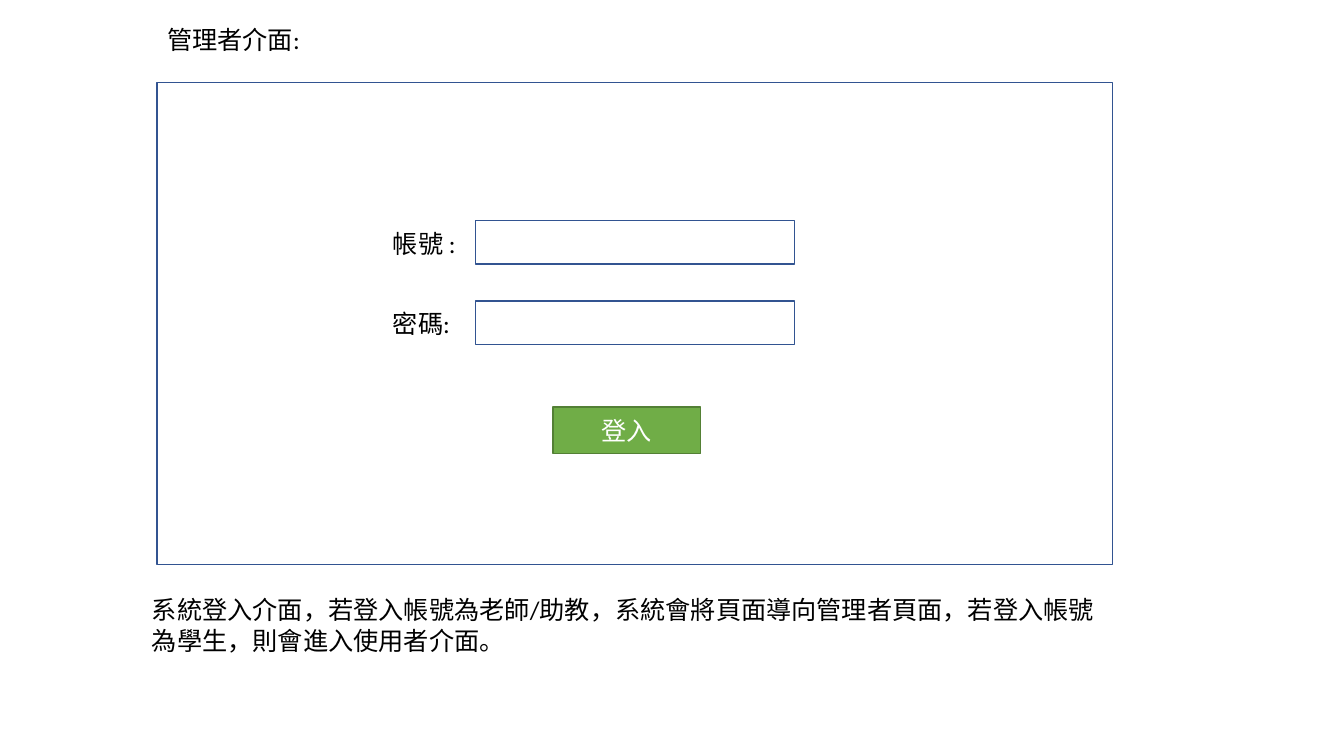
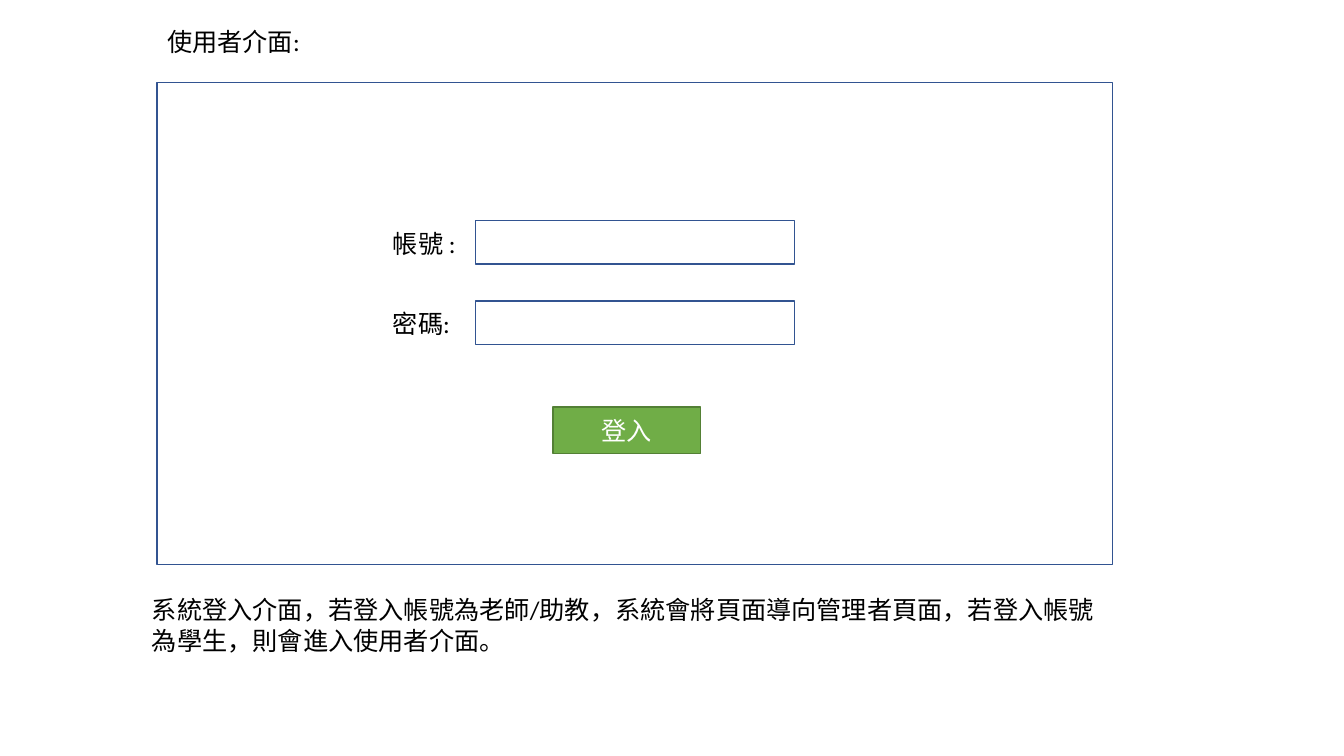
import pptx
import pptx.dml.color
import pptx.enum.shapes
import pptx.enum.text
import pptx.util

Cm = pptx.util.Cm
Pt = pptx.util.Pt
RGBColor = pptx.dml.color.RGBColor

WHITE = RGBColor(0xFF, 0xFF, 0xFF)
BLACK = RGBColor(0x00, 0x00, 0x00)
BLUE = RGBColor(0x32, 0x54, 0x91)
GREEN = RGBColor(0x70, 0xAD, 0x47)
DARK_GREEN = RGBColor(0x53, 0x80, 0x35)

FONT = "Calibri"
FONT_SIZE = Pt(18)
LINE_WIDTH = Pt(1)

PANEL = (Cm(3.96), Cm(2.08), Cm(24.08), Cm(12.14))
CAPTION = (Cm(3.58), Cm(14.86), Cm(24.46), Cm(1.8))
FIELD_LABELS = ("帳號 :", "密碼:")
CAPTION_TEXT = (
    "系統登入介面，若登入帳號為老師/助教，系統會將頁面導向管理者頁面，"
    "若登入帳號為學生，則會進入使用者介面。"
)
PAGES = (("管理者介面:", Cm(0.48)), ("使用者介面:", Cm(0.53)))


def write_text(shape, text, color):
    para = shape.text_frame.paragraphs[0]
    para.text = text
    para.font.name = FONT
    para.font.size = FONT_SIZE
    para.font.color.rgb = color
    return para


def add_text(page, box, text):
    shape = page.shapes.add_textbox(*box)
    shape.text_frame.word_wrap = True
    write_text(shape, text, BLACK)


def add_box(page, box, fill=WHITE, line=BLUE):
    shape = page.shapes.add_shape(
        pptx.enum.shapes.MSO_SHAPE.RECTANGLE, *box
    )
    shape.shadow.inherit = False
    shape.fill.solid()
    shape.fill.fore_color.rgb = fill
    shape.line.color.rgb = line
    shape.line.width = LINE_WIDTH
    return shape


def add_field(page, box, label):
    left, top, width, height = box
    add_box(page, box)
    add_text(page, (left - Cm(2.34), top + Cm(0.06), Cm(3.2), Cm(1.02)), label)


def add_button(page, box, text):
    shape = add_box(page, box, GREEN, DARK_GREEN)
    shape.text_frame.vertical_anchor = pptx.enum.text.MSO_ANCHOR.MIDDLE
    para = write_text(shape, text, WHITE)
    para.alignment = pptx.enum.text.PP_ALIGN.CENTER


def add_login_panel(page, box):
    left, top, width, height = box
    add_box(page, box)
    add_button(
        page, (left + Cm(9.98), top + Cm(8.18), Cm(3.71), Cm(1.17)), "登入"
    )
    for row, label in enumerate(FIELD_LABELS):
        field_top = top + Cm(3.48) + row * Cm(2.03)
        add_field(
            page, (left + Cm(8.03), field_top, Cm(8.03), Cm(1.09)), label
        )


def add_login_page(deck, title, title_top):
    page = deck.slides.add_slide(deck.slide_layouts[6])
    add_login_panel(page, PANEL)
    add_text(page, CAPTION, CAPTION_TEXT)
    add_text(page, (PANEL[0], title_top, Cm(6.65), Cm(1.02)), title)


def main():
    deck = pptx.Presentation()
    deck.slide_width = Cm(33.87)
    deck.slide_height = Cm(19.05)
    for title, title_top in PAGES:
        add_login_page(deck, title, title_top)
    deck.save("out.pptx")


if __name__ == "__main__":
    main()
